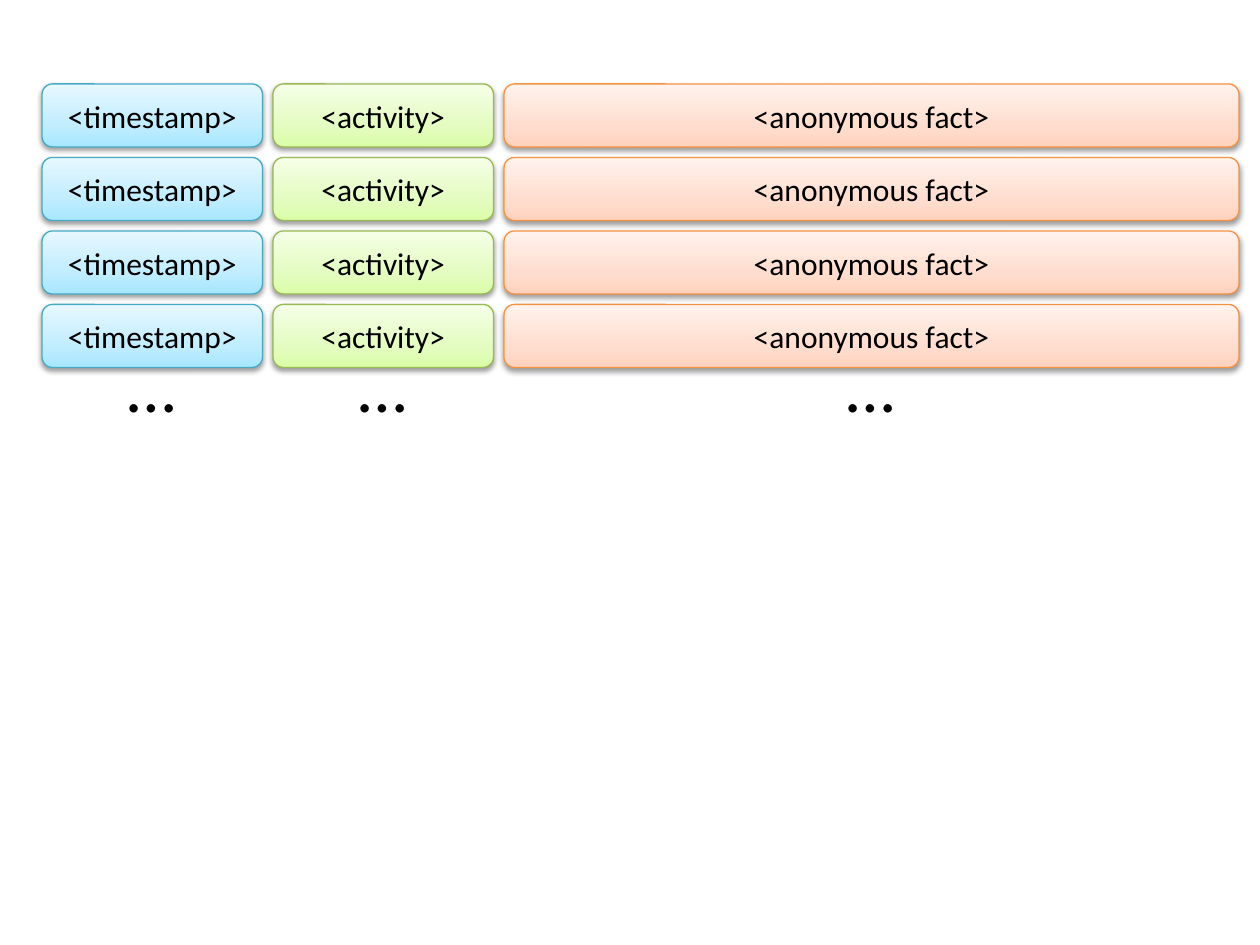
from copy import deepcopy
from dataclasses import dataclass

from pptx import Presentation
from pptx.dml.color import RGBColor
from pptx.enum.shapes import MSO_SHAPE
from pptx.enum.text import MSO_ANCHOR, MSO_AUTO_SIZE, PP_ALIGN
from pptx.oxml.ns import qn
from pptx.util import Inches, Pt
from lxml.etree import SubElement


@dataclass(frozen=True)
class Theme:
    font: str = "Calibri"
    ink: str = "000000"
    label: int = 18
    dots: int = 40
    edge: float = 0.75
    blue: tuple = ("46AAC5", "A7E6FF", "C1EDFF", "E7F8FF")
    green: tuple = ("98B955", "DAFDA7", "E4FCC2", "F5FFE7")
    orange: tuple = ("F69240", "FFD2BD", "FFDED0", "FFF2ED")
    stops: tuple = (0, 0.35, 1)


THEME = Theme()
GAP = 1 / 12
LEFT, TOP = 4 * GAP, 8 * GAP
HIGH = 0.5
ROWS = 4
COLUMNS = (
    ("<timestamp>", 1.75, THEME.blue),
    ("<activity>", 1.75, THEME.green),
    ("<anonymous fact>", 70 * GAP, THEME.orange),
)


def add_run(para, text, size):
    run = para.add_run()
    run.text = text
    run.font.name = THEME.font
    run.font.size = Pt(size)
    run.font.color.rgb = RGBColor.from_string(THEME.ink)


def fade(shape, tints):
    fill = shape.fill
    fill.gradient()
    fill.gradient_angle = 90
    stops = shape._element.spPr.find(qn("a:gradFill")).find(qn("a:gsLst"))
    stops.append(deepcopy(stops[-1]))
    for stop, place, tint in zip(fill.gradient_stops, THEME.stops, tints):
        stop.position = place
        stop.color.rgb = RGBColor.from_string(tint)


def shade(shape):
    shape.shadow.inherit = False
    effects = shape._element.spPr.find(qn("a:effectLst"))
    outer = SubElement(effects, qn("a:outerShdw"), blurRad=str(Pt(3.1)),
                       dist=str(Pt(1.6)), dir="5400000", rotWithShape="0")
    color = SubElement(outer, qn("a:srgbClr"), val=THEME.ink)
    SubElement(color, qn("a:alpha"), val="38000")


def add_box(slide, left, top, width, text, colors):
    line, *tints = colors
    box = slide.shapes.add_shape(MSO_SHAPE.ROUNDED_RECTANGLE, Inches(left),
                                 Inches(top), Inches(width), Inches(HIGH))
    fade(box, tints)
    box.line.color.rgb = RGBColor.from_string(line)
    box.line.width = Pt(THEME.edge)
    shade(box)
    frame = box.text_frame
    frame.vertical_anchor = MSO_ANCHOR.MIDDLE
    para = frame.paragraphs[0]
    para.alignment = PP_ALIGN.CENTER
    add_run(para, text, THEME.label)


def add_dots(slide, middle):
    width = 0.59
    box = slide.shapes.add_textbox(Inches(middle - width / 2), Inches(2.67),
                                   Inches(width), Inches(0.77))
    frame = box.text_frame
    frame.word_wrap = False
    frame.auto_size = MSO_AUTO_SIZE.SHAPE_TO_FIT_TEXT
    add_run(frame.paragraphs[0], "…", THEME.dots)


def main():
    deck = Presentation()
    deck.slide_width, deck.slide_height = Inches(10), Inches(7.5)
    slide = deck.slides.add_slide(deck.slide_layouts[6])
    left = LEFT
    for text, width, colors in COLUMNS:
        for row in range(ROWS):
            add_box(slide, left, TOP + row * (HIGH + GAP), width, text, colors)
        add_dots(slide, left + width / 2)
        left += width + GAP
    deck.save("out.pptx")


if __name__ == "__main__":
    main()
